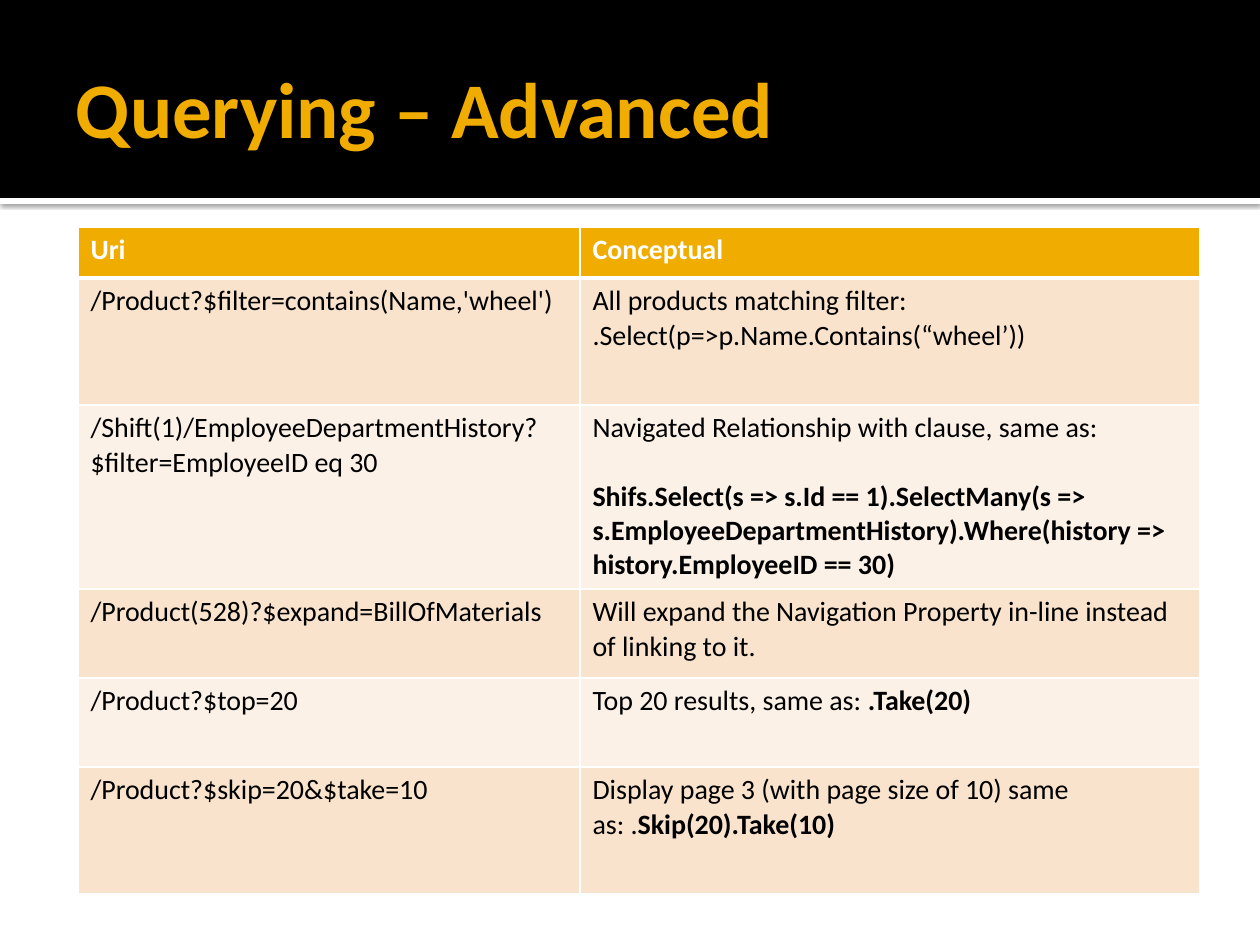
from lxml import etree
from pptx import Presentation
from pptx.dml.color import RGBColor
from pptx.enum.shapes import MSO_SHAPE as Shape
from pptx.enum.text import MSO_ANCHOR as Anchor, MSO_AUTO_SIZE as AutoSize, PP_ALIGN as Align
from pptx.oxml import parse_xml
from pptx.oxml.ns import nsdecls, qn
from pptx.util import Emu, Pt

PX = 914400 // 126
COLORS = {"black": "000000", "white": "FFFFFF", "gold": "F0AD00",
          "band_dark": "F9E3CC", "band_light": "FCF1E7"}


def px(length):
    return Emu(length * PX)


def rgb(name):
    return RGBColor.from_string(COLORS[name])


class Deck:
    font = "Calibri"

    def __init__(self, width, height):
        self.prs = Presentation()
        self.prs.slide_width, self.prs.slide_height = px(width), px(height)
        self.slide = self.prs.slides.add_slide(self.prs.slide_layouts[5])

    def run(self, paragraph, text, size, color, bold=False):
        run = paragraph.add_run()
        run.text = text
        run.font.name, run.font.size, run.font.bold = self.font, Pt(size), bold
        run.font.color.rgb = rgb(color)

    def title(self, text, box, size, color):
        title = self.slide.shapes.title
        title.left, title.top, title.width, title.height = map(px, box)
        frame = title.text_frame
        frame.auto_size, frame.word_wrap = AutoSize.NONE, True
        frame.vertical_anchor = Anchor.MIDDLE
        frame.margin_left = px(13)
        frame.margin_right = frame.margin_top = frame.margin_bottom = px(6)
        frame.paragraphs[0].alignment = Align.LEFT
        self.run(frame.paragraphs[0], text, size, color, True)

    def band(self, box, color, shadow=False):
        """Add a plain bar behind the title."""
        bar = self.slide.shapes.add_shape(Shape.RECTANGLE, *map(px, box))
        bar.fill.solid()
        bar.fill.fore_color.rgb = rgb(color)
        bar.line.fill.background()
        bar.shadow.inherit = False
        if shadow:
            effects = bar.element.spPr.find(qn("a:effectLst"))
            effects.append(parse_xml(
                f'<a:outerShdw {nsdecls("a")} blurRad="{Pt(2.5)}" dist="{Pt(0.8)}" '
                'dir="5400000" algn="t" rotWithShape="0">'
                f'<a:srgbClr val="{COLORS["black"]}"><a:alpha val="60000"/></a:srgbClr>'
                '</a:outerShdw>'))
        self.slide.shapes.title.element.addprevious(bar.element)

    def borders(self, cell_props, header):
        for i, side in enumerate("LRTB"):
            heavy = header and side == "B"
            line = etree.Element(qn(f"a:ln{side}"), w=str(Pt(3 if heavy else 1)))
            fill = etree.SubElement(line, qn("a:solidFill"))
            etree.SubElement(fill, qn("a:srgbClr"), val=COLORS["white"])
            cell_props.insert(i, line)

    def cell(self, cell, paragraphs, fill, color, size, bold, gap):
        cell.fill.solid()
        cell.fill.fore_color.rgb = rgb(fill)
        frame = cell.text_frame
        for i, runs in enumerate(paragraphs):
            paragraph = frame.add_paragraph() if i else frame.paragraphs[0]
            if i:
                paragraph.space_before = Pt(gap)
            for text, strong in runs:
                for j, line in enumerate(text.split("\n")):
                    if j:
                        paragraph.add_line_break()
                    self.run(paragraph, line, size, color, bold or strong)

    def table(self, left, top, widths, heights, rows, size, gap):
        box = map(px, (left, top, sum(widths), sum(heights)))
        frame = self.slide.shapes.add_table(len(rows), len(widths), *box)
        table = frame.table
        for column, width in zip(table.columns, widths):
            column.width = px(width)
        for r, (row, height) in enumerate(zip(rows, heights)):
            table.rows[r].height = px(height)
            header = r == 0
            fill = "gold" if header else ("band_light", "band_dark")[r % 2]
            for c, paragraphs in enumerate(row):
                self.cell(table.cell(r, c), paragraphs, fill,
                          "white" if header else "black", size, header, gap)
        for i, cell_props in enumerate(frame.element.iter(qn("a:tcPr"))):
            self.borders(cell_props, i < len(widths))


def plain(text):
    return [[(text, False)]]


deck = Deck(1260, 945)

# Header
deck.band((0, 198, 1260, 6), "white", shadow=True)
deck.band((0, 0, 1260, 198), "black")
deck.title("Querying – Advanced", (63, 21, 1134, 173), 45, "gold")

# Query examples: each cell is a list of paragraphs of (text, bold) runs
queries = [
    (plain("Uri"), plain("Conceptual")),
    (plain("/Product?$filter=contains(Name,'wheel')"),
     plain("All products matching filter:\n.Select(p=>p.Name.Contains(“wheel’))")),
    (plain("/Shift(1)/EmployeeDepartmentHistory?$filter=EmployeeID eq 30"),
     [[("Navigated Relationship with clause, same as:", False)],
      [("Shifs.Select(s => s.Id == 1).SelectMany(s => s.EmployeeDepartmentHistory)"
        ".Where(history => history.EmployeeID == 30)", True)]]),
    (plain("/Product(528)?$expand=BillOfMaterials"),
     plain("Will expand the Navigation Property in-line instead of linking to it.")),
    (plain("/Product?$top=20"),
     [[("Top 20 results, same as: ", False), (".Take(20)", True)]]),
    (plain("/Product?$skip=20&$take=10"),
     [[("Display page 3 (with page size of 10) same as:\u00a0.", False),
       ("Skip(20).Take(10)", True)]]),
]
deck.table(78, 227, (502, 620), (51, 127, 184, 89, 89, 127), queries, size=16, gap=19.5)

deck.prs.save("out.pptx")
